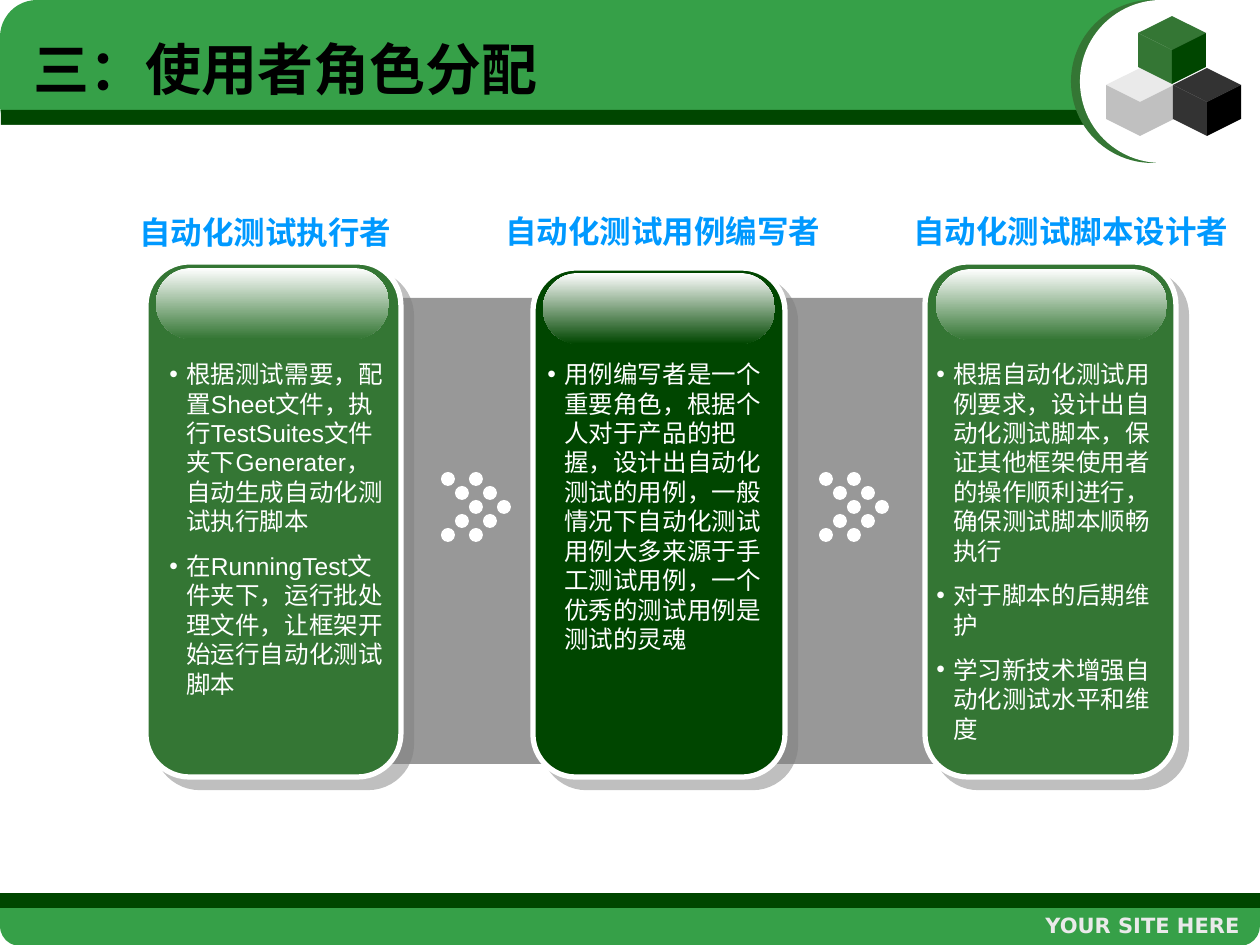
"""Build the slide on user roles in the automated testing framework."""
from lxml import etree
from pptx import Presentation
from pptx.dml.color import RGBColor
from pptx.enum.shapes import MSO_SHAPE
from pptx.enum.text import MSO_ANCHOR, MSO_AUTO_SIZE, PP_ALIGN
from pptx.oxml.ns import qn
from pptx.util import Pt

PX = 914400 / 126
GREEN = RGBColor(0x36, 0xA0, 0x48)
LEAF = RGBColor(0x34, 0x76, 0x34)
DARK_GREEN = RGBColor(0x00, 0x46, 0x00)
WHITE = RGBColor(0xFF, 0xFF, 0xFF)
PALE = RGBColor(0xEA, 0xEA, 0xEA)
SILVER = RGBColor(0xC0, 0xC0, 0xC0)
CHARCOAL = RGBColor(0x33, 0x33, 0x33)
BLACK = RGBColor(0x00, 0x00, 0x00)
SKY = RGBColor(0x00, 0x99, 0xFF)


def draw(shapes, kind, box, color, radius=None):
    shape = shapes.add_shape(kind, *(round(length * PX) for length in box))
    shape.shadow.inherit = False
    shape.fill.solid()
    shape.fill.fore_color.rgb = color
    shape.line.fill.background()
    if radius is not None:
        shape.adjustments[0] = radius
    return shape


def write(box, lines, size, font, color, bold=False, anchor=MSO_ANCHOR.TOP):
    frame = slide.shapes.add_textbox(*(round(length * PX) for length in box)).text_frame
    frame.word_wrap = True
    frame.vertical_anchor = anchor
    frame.auto_size = MSO_AUTO_SIZE.NONE
    for index, line in enumerate(lines):
        paragraph = frame.add_paragraph() if index else frame.paragraphs[0]
        run = paragraph.add_run()
        run.text = line
        run.font.size = Pt(size)
        run.font.name = font
        run.font.bold = bold
        run.font.color.rgb = color
    return frame


presentation = Presentation()
presentation.slide_width = round(1260 * PX)
presentation.slide_height = round(945 * PX)
slide = presentation.slides.add_slide(presentation.slide_layouts[6])

draw(slide.shapes, MSO_SHAPE.ROUNDED_RECTANGLE, (0, 869, 1260, 77), GREEN, 0.26)
draw(slide.shapes, MSO_SHAPE.ROUNDED_RECTANGLE, (0, 0, 1179, 142), GREEN, 0.26)
draw(slide.shapes, MSO_SHAPE.RECTANGLE, (1, 110, 1179, 15), DARK_GREEN)
draw(slide.shapes, MSO_SHAPE.RECTANGLE, (0, 893, 1260, 15), DARK_GREEN)
draw(slide.shapes, MSO_SHAPE.RECTANGLE, (0, 125, 1260, 768), WHITE)
draw(slide.shapes, MSO_SHAPE.OVAL, (1071, 0, 163, 163), LEAF)
draw(slide.shapes, MSO_SHAPE.OVAL, (1080, 0, 163, 163), WHITE)

cubes = [
    (1106, 68, PALE, SILVER, SILVER),
    (1173, 68, CHARCOAL, CHARCOAL, BLACK),
    (1138, 16, LEAF, LEAF, DARK_GREEN),
]
for left, top, top_color, left_color, right_color in cubes:
    cube = slide.shapes.add_group_shape()
    draw(cube.shapes, MSO_SHAPE.DIAMOND, (left, top, 68, 34), top_color)
    for edge, color in ((left, left_color), (left + 68, right_color)):
        middle = left + 34
        builder = cube.shapes.build_freeform(edge, top + 17, scale=PX)
        builder.add_line_segments(
            [(middle, top + 34), (middle, top + 68), (edge, top + 51)], close=True
        )
        face = builder.convert_to_shape()
        face.shadow.inherit = False
        face.fill.solid()
        face.fill.fore_color.rgb = color
        face.line.fill.background()

footer = write((905, 904, 347, 42), ["YOUR SITE HERE"], 12, "DejaVu Sans", PALE, True, MSO_ANCHOR.MIDDLE)
footer.paragraphs[0].alignment = PP_ALIGN.RIGHT

backdrop = draw(slide.shapes, MSO_SHAPE.ROUNDED_RECTANGLE, (165, 298, 930, 466), CHARCOAL, 0.17)
backdrop_color = backdrop.fill._xPr.find(qn("a:solidFill"))[0]
etree.SubElement(backdrop_color, qn("a:alpha"), val="50000")

panels = [
    ((146, 262, 255, 515), (156, 268, 233, 71), LEAF),
    ((533, 268, 252, 509), (543, 273, 232, 71), DARK_GREEN),
    ((925, 262, 251, 515), (936, 269, 231, 71), LEAF),
]
for panel_box, gloss_box, color in panels:
    group = slide.shapes.add_group_shape()
    panel = draw(group.shapes, MSO_SHAPE.ROUNDED_RECTANGLE, panel_box, color, 0.17)
    panel.line.color.rgb = WHITE
    panel.line.width = Pt(3)
    effects = panel._element.spPr.find(qn("a:effectLst"))
    shadow = etree.SubElement(
        effects, qn("a:outerShdw"), blurRad="0", dist=str(Pt(8.5)), dir="2700000", algn="ctr", rotWithShape="0"
    )
    shadow_color = etree.SubElement(shadow, qn("a:srgbClr"), val="808080")
    etree.SubElement(shadow_color, qn("a:alpha"), val="50000")

    gloss = draw(group.shapes, MSO_SHAPE.ROUNDED_RECTANGLE, gloss_box, color, 0.5)
    gloss.fill.gradient()
    gloss.fill.gradient_angle = 270
    for stop, stop_color, position in zip(gloss.fill.gradient_stops, (WHITE, color), (0, 1)):
        stop.color.rgb = stop_color
        stop.position = position

duties = [
    ((157, 353, 242, 352), [
        "根据测试需要，配置Sheet文件，执行TestSuites文件夹下Generater，自动生成自动化测试执行脚本",
        "在RunningTest文件夹下，运行批处理文件，让框架开始运行自动化测试脚本",
    ]),
    ((535, 353, 242, 307), [
        "用例编写者是一个重要角色，根据个人对于产品的把握，设计出自动化测试的用例，"
        "一般情况下自动化测试用例大多来源于手工测试用例，一个优秀的测试用例是测试的灵魂",
    ]),
    ((924, 353, 242, 397), [
        "根据自动化测试用例要求，设计出自动化测试脚本，保证其他框架使用者的操作顺利进行，确保测试脚本顺畅执行",
        "对于脚本的后期维护",
        "学习新技术增强自动化测试水平和维度",
    ]),
]
for box, lines in duties:
    frame = write(box, lines, 14, "Arial", WHITE)
    frame.auto_size = MSO_AUTO_SIZE.SHAPE_TO_FIT_TEXT
    for paragraph in frame.paragraphs:
        paragraph.space_before = Pt(8.8)
        properties = paragraph._p.get_or_add_pPr()
        properties.set("marL", str(round(17 * PX)))
        properties.set("indent", str(round(-17 * PX)))
        properties.set("hangingPunct", "0")
        bullet_color = etree.SubElement(properties, qn("a:buClr"))
        etree.SubElement(bullet_color, qn("a:srgbClr"), val=str(WHITE))
        etree.SubElement(properties, qn("a:buFont"), typeface="Arial")
        etree.SubElement(properties, qn("a:buChar"), char="•")

for arrow_left in (441, 819):
    arrow = slide.shapes.add_group_shape()
    for column in (2, 0):
        for row, step in enumerate((0, 1, 2, 1, 0)):
            dot_box = (arrow_left + (column + step) * 14, 472 + row * 14, 14, 14)
            draw(arrow.shapes, MSO_SHAPE.OVAL, dot_box, WHITE)

roles = [
    ((127, 207, 307, 50), "自动化测试执行者"),
    ((493, 206, 359, 50), "自动化测试用例编写者"),
    ((901, 206, 345, 50), "自动化测试脚本设计者"),
]
for box, role in roles:
    heading = write(box, [role], 18, "Times New Roman", SKY, True)
    heading.auto_size = MSO_AUTO_SIZE.SHAPE_TO_FIT_TEXT

write((21, 26, 1081, 84), ["三：使用者角色分配"], 32, "DejaVu Sans", BLACK, True, MSO_ANCHOR.MIDDLE)

presentation.save("out.pptx")
